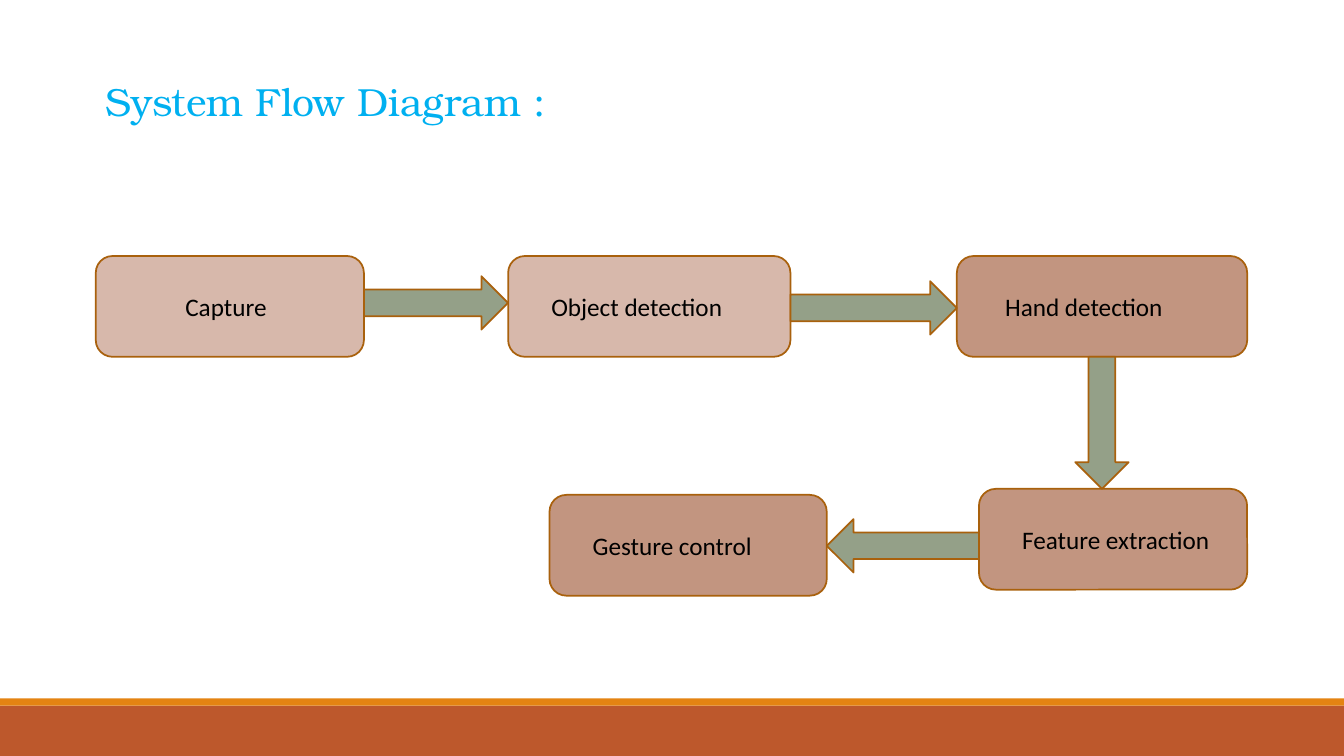
from pptx import Presentation
from pptx.dml import color as c
from pptx.enum import shapes, text
from pptx.util import Inches, Pt

KIND = shapes.MSO_SHAPE
EDGE = "A9610D"
PALE, DARK = "D7B8AB", "C29580"
THICK = 0.53


def paint(form, shade):
    form.solid()
    form.fore_color.rgb = c.RGBColor.from_string(shade)


def shape(slide, kind, box, fill, line=None):
    item = slide.shapes.add_shape(kind, *map(Inches, box))
    item.shadow.inherit = False
    paint(item.fill, fill)
    if line:
        paint(item.line.fill, line)
        item.line.width = Pt(1.25)
    else:
        item.line.fill.background()
    return item


def write(frame, words, font, size, shade, inset, anchor):
    frame.word_wrap = True
    frame.vertical_anchor = anchor
    frame.margin_left = Inches(inset)
    frame.margin_right = Inches(0)
    para = frame.paragraphs[0]
    para.alignment = text.PP_ALIGN.LEFT
    run = para.add_run()
    run.text = words
    run.font.name = font
    run.font.size = Pt(size)
    paint(run.font.fill, shade)


def title(slide, box):
    head = slide.shapes.title
    head.left, head.top, head.width, head.height = map(Inches, box)
    write(head.text_frame, "System Flow Diagram :\u00a0", "TeX Gyre Bonum",
          28, "00B0F0", 0.1, text.MSO_ANCHOR.TOP)


def footer(slide, box):
    left, top, width, height = box
    band = 0.07
    shape(slide, KIND.RECTANGLE, (left, top + band, width, height - band), "BD582C")
    shape(slide, KIND.RECTANGLE, (left, top, width, band), "E48312")


def step(slide, box, words, fill, inset):
    item = shape(slide, KIND.ROUNDED_RECTANGLE, box, fill, EDGE)
    write(item.text_frame, words, "Calibri", 18, "000000", inset,
          text.MSO_ANCHOR.MIDDLE)


def across(slide, start, end, top):
    if start[0] < end[0]:
        kind, near, far = KIND.RIGHT_ARROW, start, end
    else:
        kind, near, far = KIND.LEFT_ARROW, end, start
    left = near[0] + near[2]
    shape(slide, kind, (left, top, far[0] - left, THICK), "94A088", EDGE)


def down(slide, start, end):
    top = start[1] + start[3]
    left = start[0] + (start[2] - THICK) / 2
    shape(slide, KIND.DOWN_ARROW, (left, top, THICK, end[1] - top), "94A088", EDGE)


def flow(slide, box):
    left, top, width, height = box
    right, low, tall = left + width, top + 2.31, 1
    capture = left, top, 2.66, tall
    detect = left + 4.09, top, 2.8, tall
    hand = right - 2.88, top, 2.88, tall
    feature = right - 2.66, low, 2.66, tall
    gesture = left + 4.5, top + height - tall, 2.75, tall
    steps = [
        (capture, "Capture", PALE, 0.84),
        (detect, "Object detection", PALE, 0.38),
        (hand, "Hand detection", DARK, 0.43),
        (feature, "Feature extraction", DARK, 0.38),
        (gesture, "Gesture control", DARK, 0.38),
    ]
    for part in steps:
        step(slide, *part)
    across(slide, capture, detect, top + 0.2)
    across(slide, detect, hand, top + 0.25)
    down(slide, hand, feature)
    across(slide, feature, gesture, low + 0.3)


deck = Presentation()
deck.slide_width, deck.slide_height = Inches(13.33), Inches(7.5)
slide = deck.slides.add_slide(deck.slide_layouts[5])
footer(slide, (0, 6.93, 13.33, 0.57))
flow(slide, (0.95, 2.54, 11.42, 3.37))
title(slide, (0.95, 0.72, 6.1, 0.57))
deck.save("out.pptx")
